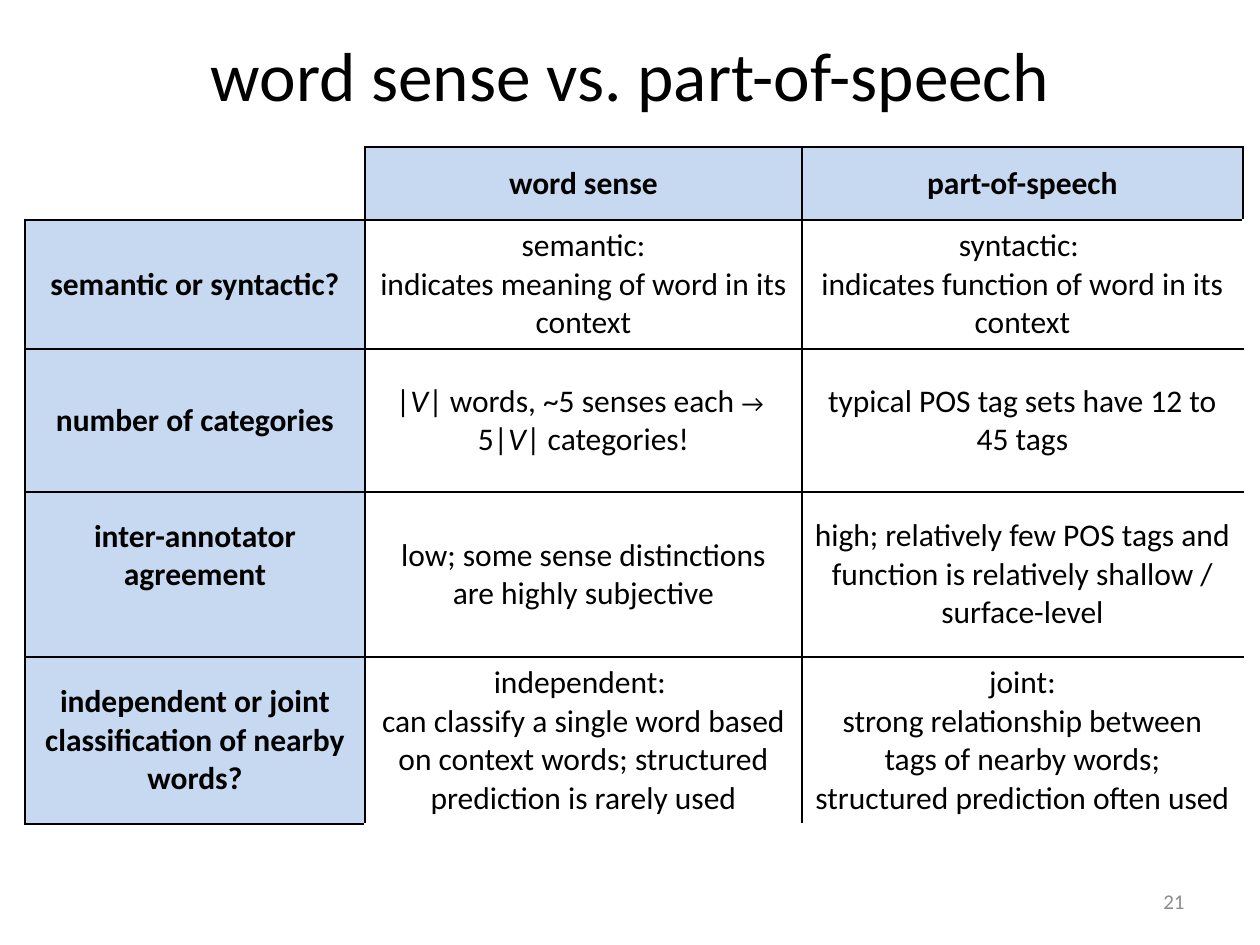
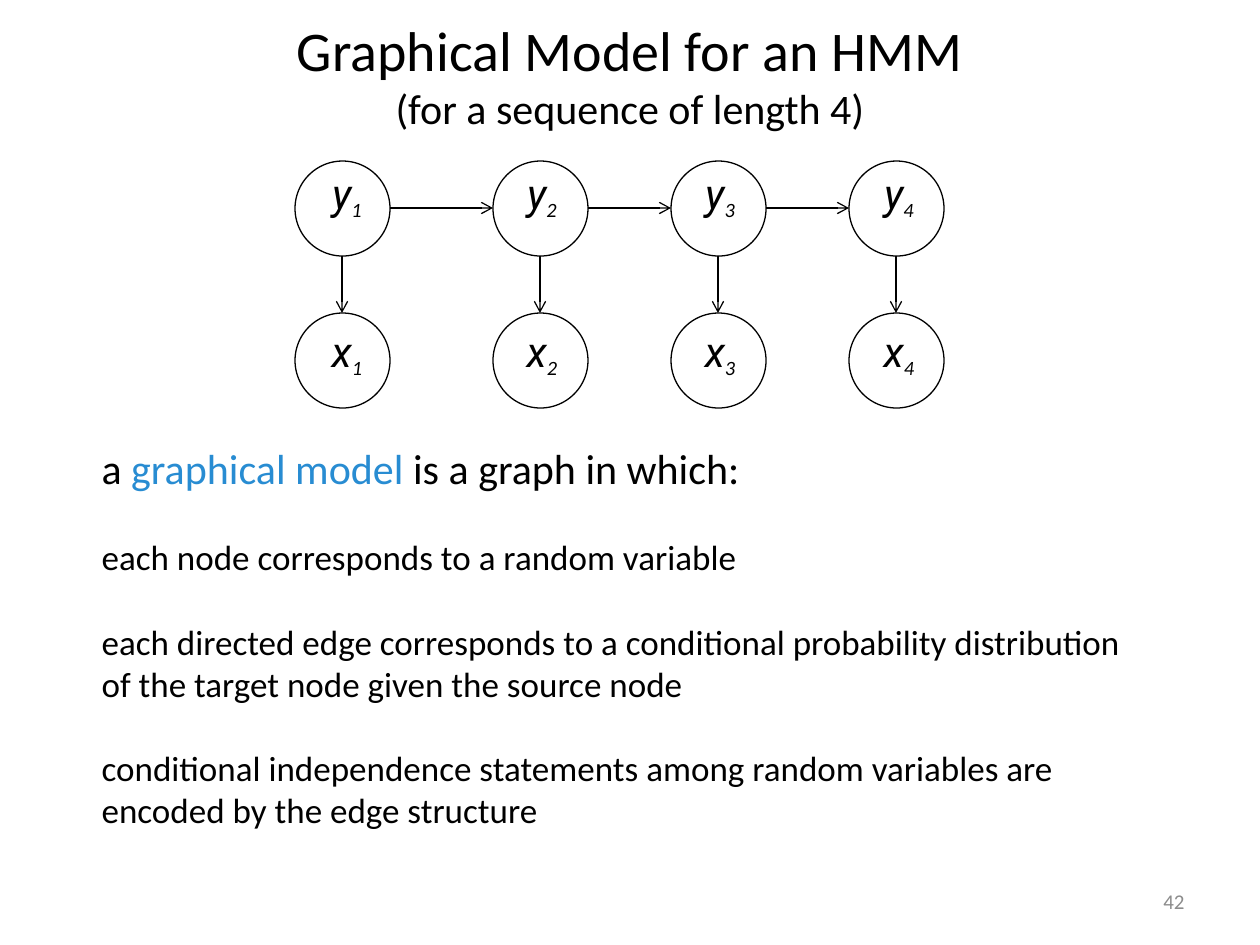
from copy import deepcopy
from dataclasses import dataclass
from itertools import pairwise

from lxml.etree import SubElement
from pptx import Presentation
from pptx.dml.color import RGBColor
from pptx.enum.shapes import MSO_CONNECTOR, MSO_SHAPE
from pptx.enum.text import MSO_ANCHOR, MSO_AUTO_SIZE, PP_ALIGN
from pptx.oxml.ns import qn
from pptx.shapes.autoshape import Shape
from pptx.slide import Slide
from pptx.table import _Cell
from pptx.text.text import TextFrame, _Paragraph
from pptx.util import Emu, Pt

PX_PER_INCH = 126
BLACK = "000000"
WHITE = "FFFFFF"
HEADER_BLUE = "C6D9F1"
TERM_BLUE = "288CD2"
NUMBER_GREY = "8C8C8C"
TEXT_FONT = "Calibri"
VARIABLE_FONT = "Roboto"


@dataclass(frozen=True)
class Span:
    text: str
    size: float
    color: str = BLACK
    font: str = TEXT_FONT
    bold: bool = False
    italic: bool = False
    baseline: int = 0


@dataclass(frozen=True)
class Box:
    left: int
    top: int
    width: int
    height: int


@dataclass(frozen=True)
class Entry:
    lines: tuple[tuple[Span, ...], ...]
    header: bool = False
    bottom_margin: int = 6


@dataclass(frozen=True)
class Step:
    index: str
    left: int
    label_left: int


@dataclass(frozen=True)
class Layer:
    variable: str
    top: int
    label_top: int


TITLE_BOX = Box(63, 24, 1134, 100)
NUMBER_BOX = Box(903, 876, 294, 50)
BODY_BOX = Box(89, 436, 1051, 403)
TABLE_LEFT, TABLE_TOP = 25, 147
COLUMN_WIDTHS = (340, 437, 441)
ROW_HEIGHTS = (73, 129, 143, 165, 167)
NODE_SIZE = 95
LABEL_WIDTH, LABEL_HEIGHT = 84, 63
STEPS = (
    Step("1", 295, 305),
    Step("2", 493, 500),
    Step("3", 671, 678),
    Step("4", 849, 857),
)
HIDDEN = Layer("y", 161, 161)
OBSERVED = Layer("x", 313, 319)


def px(length: int) -> Emu:
    return Emu(round(length * 914400 / PX_PER_INCH))


def color(code: str) -> RGBColor:
    return RGBColor.from_string(code)


def add_span(paragraph: _Paragraph, span: Span) -> None:
    run = paragraph.add_run()
    run.text = span.text
    run.font.size = Pt(span.size)
    run.font.name = span.font
    run.font.bold = span.bold
    run.font.italic = span.italic
    run.font.color.rgb = color(span.color)
    if span.baseline:
        run.font._element.set("baseline", str(span.baseline))


def write_lines(
    frame: TextFrame, lines: tuple[tuple[Span, ...], ...], align: PP_ALIGN, gap: float = 0
) -> None:
    for number, spans in enumerate(lines):
        paragraph = frame.add_paragraph() if number else frame.paragraphs[0]
        paragraph.alignment = align
        paragraph.space_before = Pt(gap if number else 0)
        for span in spans:
            add_span(paragraph, span)


def place(shape: Shape, box: Box) -> None:
    shape.left, shape.top = px(box.left), px(box.top)
    shape.width, shape.height = px(box.width), px(box.height)


def add_text(
    slide: Slide, box: Box, spans: tuple[Span, ...], align: PP_ALIGN, anchor: MSO_ANCHOR
) -> None:
    frame = slide.shapes.add_textbox(
        px(box.left), px(box.top), px(box.width), px(box.height)
    ).text_frame
    frame.word_wrap = True
    frame.vertical_anchor = anchor
    write_lines(frame, (spans,), align)


def add_title(slide: Slide, *rows: Span) -> None:
    title = slide.shapes.title
    place(title, TITLE_BOX)
    frame = title.text_frame
    frame.auto_size = MSO_AUTO_SIZE.NONE
    frame.vertical_anchor = MSO_ANCHOR.MIDDLE
    heading = frame.paragraphs[0]
    heading.alignment = PP_ALIGN.CENTER
    for number, row in enumerate(rows):
        if number:
            previous = heading.runs[-1].font._element
            heading.add_line_break()
            heading._p.findall(qn("a:br"))[-1].append(deepcopy(previous))
        add_span(heading, row)


def add_number(slide: Slide, number: str) -> None:
    spans = (Span(number, 12, NUMBER_GREY),)
    add_text(slide, NUMBER_BOX, spans, PP_ALIGN.RIGHT, MSO_ANCHOR.MIDDLE)


def header(text: str, bottom_margin: int = 6) -> Entry:
    return Entry(((Span(text, 18, bold=True),),), True, bottom_margin)


def answer(*lines: str) -> Entry:
    return Entry(tuple((Span(line, 18),) for line in lines))


VOCABULARY = Span("V", 18, italic=True)
CATEGORY_COUNT = Entry((
    (
        Span("|", 18),
        VOCABULARY,
        Span("| words, ~5 senses each ", 18),
        Span("→", 14),
        Span(" ", 18),
    ),
    (Span("5|", 18), VOCABULARY, Span("| categories!", 18)),
))
COMPARISON = (
    (Entry(()), header("word sense"), header("part-of-speech")),
    (
        header("semantic or syntactic?"),
        answer("semantic:", "indicates meaning of word in its context"),
        answer("syntactic: ", "indicates function of word in its context"),
    ),
    (
        header("number of categories"),
        CATEGORY_COUNT,
        answer("typical POS tag sets have 12 to 45 tags"),
    ),
    (
        header("inter-annotator agreement", 44),
        answer("low; some sense distinctions are highly subjective"),
        answer(
            "high; relatively few POS tags and function is relatively shallow / surface-level"
        ),
    ),
    (
        header("independent or joint classification of nearby words?"),
        answer(
            "independent: ",
            "can classify a single word based on context words; "
            "structured prediction is rarely used",
        ),
        answer(
            "joint:",
            "strong relationship between tags of nearby words; "
            "structured prediction often used",
        ),
    ),
)


def set_borders(cell: _Cell, open_sides: str) -> None:
    properties = cell._tc.get_or_add_tcPr()
    for side in "LRTB":
        edge = SubElement(properties, qn(f"a:ln{side}"), w=str(Pt(1)))
        paint = SubElement(edge, qn("a:solidFill"))
        SubElement(paint, qn("a:srgbClr"), val=WHITE if side in open_sides else BLACK)


def open_sides(row: int, column: int) -> str:
    if row == column == 0:
        return "LT"
    right = "R" if row > 0 and column == len(COLUMN_WIDTHS) - 1 else ""
    bottom = "B" if row == len(ROW_HEIGHTS) - 1 and column > 0 else ""
    return right + bottom


def add_comparison(slide: Slide) -> None:
    table = slide.shapes.add_table(
        len(ROW_HEIGHTS), len(COLUMN_WIDTHS), px(TABLE_LEFT), px(TABLE_TOP),
        px(sum(COLUMN_WIDTHS)), px(sum(ROW_HEIGHTS)),
    ).table
    table.first_row = table.horz_banding = False
    for column, width in zip(table.columns, COLUMN_WIDTHS):
        column.width = px(width)
    for row, height in zip(table.rows, ROW_HEIGHTS):
        row.height = px(height)
    for row_number, entries in enumerate(COMPARISON):
        for column_number, entry in enumerate(entries):
            cell = table.cell(row_number, column_number)
            set_borders(cell, open_sides(row_number, column_number))
            if entry.header:
                cell.fill.solid()
                cell.fill.fore_color.rgb = color(HEADER_BLUE)
            else:
                cell.fill.background()
            cell.vertical_anchor = MSO_ANCHOR.MIDDLE
            cell.margin_bottom = px(entry.bottom_margin)
            write_lines(cell.text_frame, entry.lines, PP_ALIGN.CENTER)


def add_node(slide: Slide, step: Step, layer: Layer) -> None:
    node = slide.shapes.add_shape(
        MSO_SHAPE.OVAL, px(step.left), px(layer.top), px(NODE_SIZE), px(NODE_SIZE)
    )
    node.shadow.inherit = False
    node.fill.background()
    node.line.color.rgb = color(BLACK)
    node.line.width = Pt(0.75)
    label = (
        Span(layer.variable, 24, font=VARIABLE_FONT, italic=True),
        Span(step.index, 20, italic=True, baseline=-25000),
    )
    label_box = Box(step.label_left, layer.label_top, LABEL_WIDTH, LABEL_HEIGHT)
    add_text(slide, label_box, label, PP_ALIGN.CENTER, MSO_ANCHOR.TOP)


def add_edge(slide: Slide, start: tuple[int, int], end: tuple[int, int]) -> None:
    edge = slide.shapes.add_connector(
        MSO_CONNECTOR.STRAIGHT, *(px(length) for length in start + end)
    )
    edge.line.color.rgb = color(BLACK)
    edge.line.width = Pt(0.75)
    SubElement(edge.line._get_or_add_ln(), qn("a:tailEnd"), type="arrow")
    SubElement(edge._element.spPr, qn("a:effectLst"))


def add_model(slide: Slide) -> None:
    radius = NODE_SIZE // 2
    for step in STEPS:
        for layer in (HIDDEN, OBSERVED):
            add_node(slide, step, layer)
        center = step.left + radius
        add_edge(slide, (center, HIDDEN.top + NODE_SIZE), (center, OBSERVED.top))
    middle = HIDDEN.top + radius
    for source, target in pairwise(STEPS):
        add_edge(slide, (source.left + NODE_SIZE, middle), (target.left, middle))


def add_definition(slide: Slide) -> None:
    body = slide.placeholders[1]
    place(body, BODY_BOX)
    frame = body.text_frame
    frame.auto_size = MSO_AUTO_SIZE.NONE
    statements = (
        "each node corresponds to a random variable",
        "each directed edge corresponds to a conditional probability distribution "
        "of the target node given the source node",
        "conditional independence statements among random variables are "
        "encoded by the edge structure",
    )
    opening = (
        Span("a ", 24),
        Span("graphical model ", 24, TERM_BLUE),
        Span("is a graph in which:", 24),
    )
    lines = (opening, *((Span(statement, 20),) for statement in statements))
    write_lines(frame, lines, PP_ALIGN.LEFT, 24.4)
    for paragraph in frame.paragraphs:
        properties = paragraph._p.get_or_add_pPr()
        properties.set("marL", "0")
        properties.set("indent", "0")
        SubElement(properties, qn("a:buNone"))


def main() -> None:
    deck = Presentation()
    deck.slide_width, deck.slide_height = px(1260), px(945)

    senses = deck.slides.add_slide(deck.slide_layouts[5])
    add_title(senses, Span("word sense vs. part-of-speech", 39.6))
    add_number(senses, "21")
    add_comparison(senses)

    markov = deck.slides.add_slide(deck.slide_layouts[1])
    add_title(
        markov,
        Span("Graphical Model for an HMM", 32),
        Span("(for a sequence of length 4)", 24),
    )
    add_number(markov, "42")
    add_model(markov)
    add_definition(markov)

    deck.save("out.pptx")


if __name__ == "__main__":
    main()
